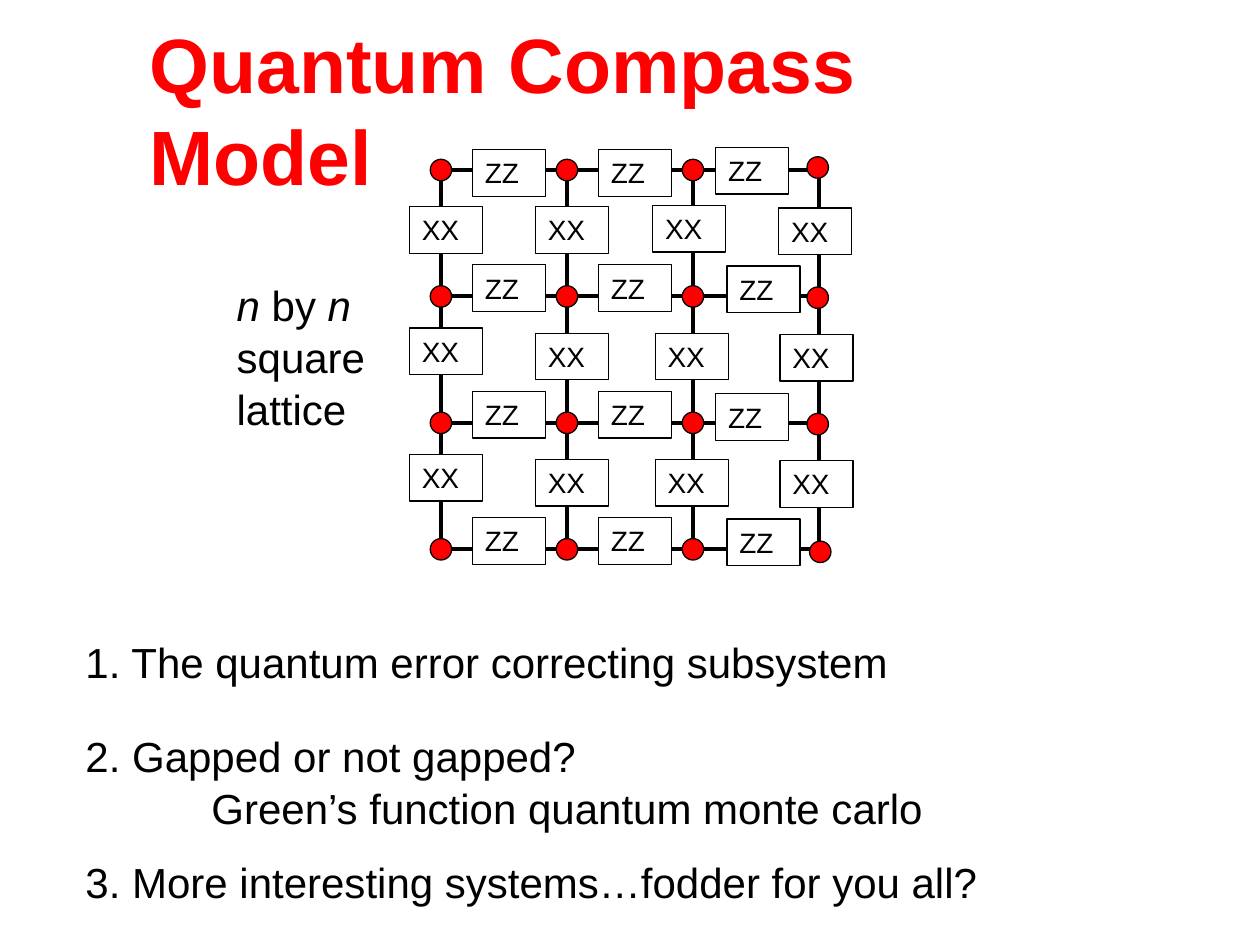
from itertools import product

from pptx import Presentation
from pptx import util as u
from pptx.dml.color import RGBColor
from pptx.enum import shapes, text

COLORS = {"red": "FF0000", "black": "000000", "white": "FFFFFF"}
FONT = "Arial"
SITES = 4                       # lattice sites per side
LEFT, TOP = 3.5, 1.35           # first site, inches
COLUMN, ROW = 1.0, 3.01 / 3     # lattice spacing, inches
LABEL = (0.58, 0.37)
NODE = 0.17

# Hand-placed shifts (columns, rows) from the regular lattice
NODE_SHIFTS = {(3, 0): (-0.01, -0.02), (3, 1): (-0.01, 0.01),
               (3, 2): (-0.01, 0.01), (3, 3): (0.01, 0.02)}
XX_SHIFTS = {(0, 1): (0, -0.04), (0, 2): (0, -0.04),
             (2, 0): (-0.07, -0.01), (2, 1): (-0.05, 0), (2, 2): (-0.05, 0),
             (3, 0): (-0.07, 0.01), (3, 1): (-0.06, 0.01), (3, 2): (-0.06, 0.01)}
ZZ_SHIFTS = {(2, 0): (-0.07, -0.02), (2, 1): (0.02, 0.01),
             (2, 2): (-0.07, 0.02), (2, 3): (0.02, 0.01)}


def color(name):
    return RGBColor.from_string(COLORS[name])


class LatticeSlide:
    """Places text in inches and lattice parts in columns and rows."""

    def __init__(self, deck):
        self.page = deck.slides.add_slide(deck.slide_layouts[6])

    def shape(self, kind, column, row, width, height, fill=None, line=0.75):
        box = self.page.shapes.add_shape(
            kind, u.Inches(LEFT + column * COLUMN), u.Inches(TOP + row * ROW),
            u.Inches(width), u.Inches(height))
        box.shadow.inherit = False
        if fill:
            box.fill.solid()
            box.fill.fore_color.rgb = color(fill)
        else:
            box.fill.background()
        box.line.color.rgb = color("black")
        box.line.width = u.Pt(line)
        return box

    def cell(self, column, row):
        self.shape(shapes.MSO_SHAPE.RECTANGLE, column, row, COLUMN, ROW, line=2.25)

    def node(self, column, row):
        half = NODE / 2
        self.shape(shapes.MSO_SHAPE.OVAL, column - half, row - half,
                   NODE, NODE, fill="red")

    def label(self, words, column, row):
        box = self.shape(shapes.MSO_SHAPE.RECTANGLE, column, row, *LABEL, fill="white")
        self.set_lines(box.text_frame, [[(words, False)]], 16)

    def textbox(self, lines, left, top, width, height, size=24,
                ink="black", bold=False, wrap=True):
        box = self.page.shapes.add_textbox(*map(u.Inches, (left, top, width, height)))
        self.set_lines(box.text_frame, lines, size, ink, bold, wrap)
        return box

    def set_lines(self, frame, lines, size, ink="black", bold=False, wrap=True):
        """Each line is a list of (words, italic) pairs."""
        frame.word_wrap = wrap
        frame.vertical_anchor = text.MSO_ANCHOR.TOP
        for index, line in enumerate(lines):
            para = frame.add_paragraph() if index else frame.paragraphs[0]
            para.alignment = text.PP_ALIGN.LEFT
            if index:
                para.space_before = u.Pt(1)
            for words, italic in line:
                span = para.add_run()
                span.text = words
                span.font.name = FONT
                span.font.size = u.Pt(size)
                span.font.bold = bold
                span.font.italic = italic
                span.font.color.rgb = color(ink)


def main():
    deck = Presentation()
    deck.slide_width, deck.slide_height = u.Inches(10), u.Inches(7.5)
    slide = LatticeSlide(deck)

    # Title
    slide.textbox([[("Quantum Compass Model", False)]], 1.09, 0.08, 7.74, 0.84,
                  size=44, ink="red", bold=True, wrap=False)

    # Lattice edges
    for column, row in product(range(SITES - 1), repeat=2):
        slide.cell(column, row)

    # Vertical XX and horizontal ZZ couplings, then the sites
    for column, row in product(range(SITES), range(SITES - 1)):
        across, down = XX_SHIFTS.get((column, row), (0, 0))
        slide.label("XX", column - 0.25 + across, row + 0.29 + down)
    for column, row in product(range(SITES - 1), range(SITES)):
        across, down = ZZ_SHIFTS.get((column, row), (0, 0))
        rise = 0.25 if row else 0.16
        slide.label("ZZ", column + 0.25 + across, row - rise + down)
    for column, row in product(range(SITES), repeat=2):
        across, down = NODE_SHIFTS.get((column, row), (0, 0))
        slide.node(column + across, row + down)

    # Lattice caption
    slide.textbox([[("n", True), (" by ", False), ("n", True)],
                   [("square", False)], [("lattice", False)]],
                  1.78, 2.17, 1.22, 1.3, wrap=False)

    # Numbered points
    points = [
        (5, 0.5, ["1. The quantum error correcting subsystem"]),
        (5.75, 0.9, ["2. Gapped or not gapped?",
                     "Green’s function quantum monte carlo"]),
        (6.75, 0.5, ["3. More interesting systems…fodder for you all?"]),
    ]
    for top, height, lines in points:
        box = slide.textbox([[(words, False)] for words in lines],
                            0.58, top, 7.58, height)
        for para in box.text_frame.paragraphs[1:]:
            para._p.get_or_add_pPr().set("marL", str(u.Inches(1)))

    deck.save("out.pptx")


if __name__ == "__main__":
    main()
